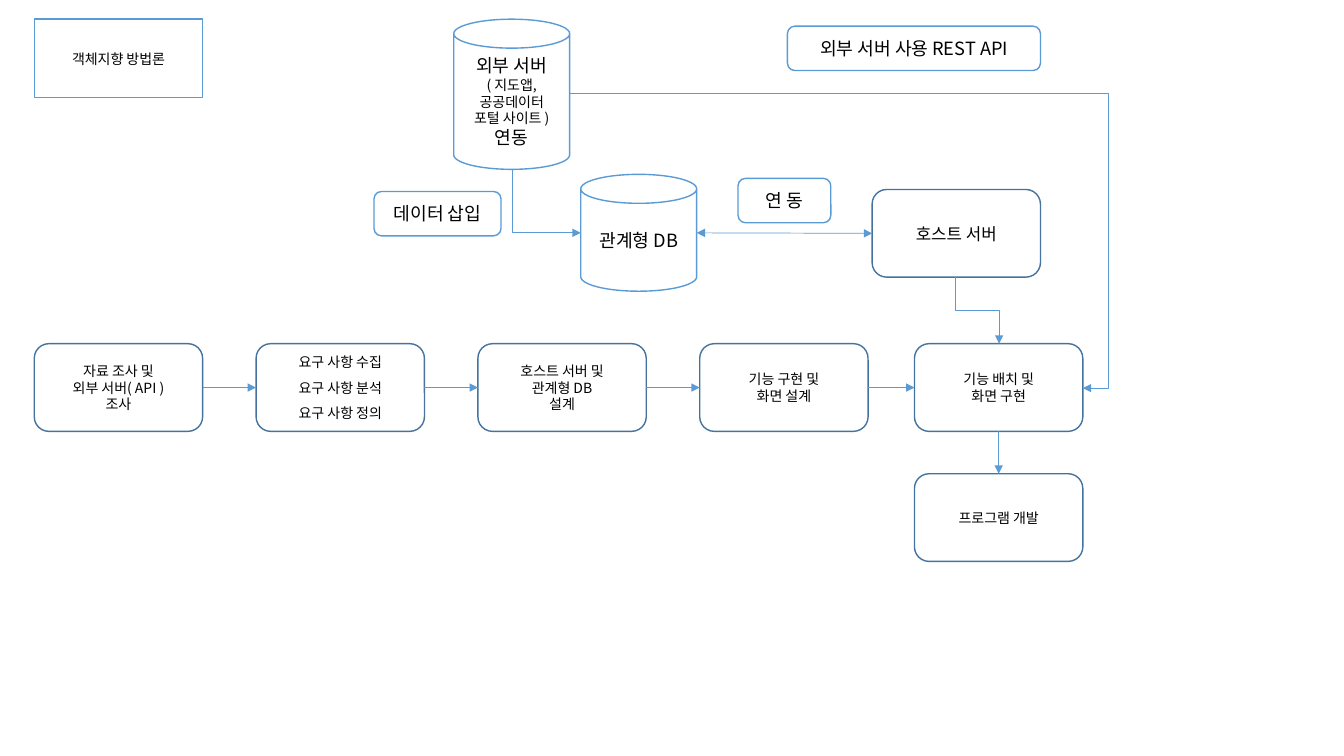
from dataclasses import dataclass
from typing import Any

import lxml.etree
import pptx
import pptx.dml.color
import pptx.enum.shapes
import pptx.enum.text
import pptx.oxml.ns
import pptx.shapes.autoshape
import pptx.shapes.connector
import pptx.util

PX = 9144  # EMU, 100 px to the inch
FONT = "Noto Sans CJK KR"
COLORS = {"step": "43739E", "accent": "5B9BD5", "white": "FFFFFF", "text": "000000"}
KIND = pptx.enum.shapes.MSO_SHAPE
LINK = pptx.enum.shapes.MSO_CONNECTOR
TOP, LEFT, BOTTOM, RIGHT = range(4)

STEP_W, STEP_H, STEP_Y = 167, 87, 341
LABEL_H = 44
CAN_W = 115


@dataclass(frozen=True)
class Para:
    text: str
    size: int = 10


@dataclass(frozen=True)
class Box:
    x: int
    y: int
    w: int
    h: int
    paras: tuple[Para, ...]
    kind: Any = KIND.ROUNDED_RECTANGLE
    line: str = "accent"
    fill: str | None = None
    inset: int = 10
    gap: int = 0


@dataclass(frozen=True)
class Elbow:
    start: tuple[int, int]
    end: tuple[int, int]
    bend: int | None = None  # thousandths of a percent; None for one corner
    vertical: bool = False


def step(x: int, y: int, *paras: Para, gap: int = 0) -> Box:
    return Box(x, y, STEP_W, STEP_H, paras, line="step", inset=32, gap=gap)


def label(x: int, y: int, w: int, text: str) -> Box:
    return Box(x, y, w, LABEL_H, (Para(text, 13),), KIND.FLOWCHART_ALTERNATE_PROCESS)


def can(x: int, y: int, h: int, *paras: Para) -> Box:
    return Box(x, y, CAN_W, h, paras, KIND.CAN, fill="white")


TITLE = Box(34, 19, STEP_W, 78, (Para("객체지향 방법론"),), fill="white")
STEPS = (
    step(34, STEP_Y, Para("자료 조사 및"), Para("외부 서버( API ) 조사")),
    step(254, STEP_Y, Para("요구 사항 수집"), Para("요구 사항 분석"),
         Para("요구 사항 정의"), gap=6),
    step(474, STEP_Y, Para("호스트 서버 및"), Para("관계형 DB"), Para("설계")),
    step(694, STEP_Y, Para("기능 구현 및"), Para("화면 설계")),
    step(907, STEP_Y, Para("기능 배치 및 화면 구현")),
)
PROGRAM = step(907, 470, Para("프로그램 개발"))
HOST = step(865, 188, Para("호스트 서버", 12))
OTHERS = (
    can(576, 173, 116, Para("관계형 DB", 13)),
    can(450, 19, 149, Para("외부 서버", 13), Para("( 지도앱,"), Para("공공데이터"),
        Para("포털 사이트 )"), Para("연동", 13)),
    label(371, 190, 126, "데이터 삽입"),
    label(781, 26, 251, "외부 서버 사용 REST API"),
    label(732, 177, 92, "연 동"),
)
ELBOWS = (
    Elbow((948, 275), (991, 341), bend=50000, vertical=True),
    Elbow((508, 168), (576, 231), vertical=True),
    Elbow((565, 93), (1074, 385), bend=104900),
)


def rgb(name: str) -> pptx.dml.color.RGBColor:
    return pptx.dml.color.RGBColor.from_string(COLORS[name])


def set_attrs(obj: Any, values: dict[str, Any]) -> None:
    for name, value in values.items():
        setattr(obj, name, value)


def sub(parent: Any, tag: str, **attrs: str) -> Any:
    return lxml.etree.SubElement(parent, pptx.oxml.ns.qn(tag), attrs)


def format_box(sp: Any, box: Box) -> None:
    """Give a shape or placeholder the box's fill, line and text."""
    if box.fill:
        sp.fill.solid()
        sp.fill.fore_color.rgb = rgb(box.fill)
    else:
        sp.fill.background()
    sp.line.color.rgb = rgb(box.line)
    sp.line.width = pptx.util.Pt(1)
    tf = sp.text_frame
    set_attrs(tf, {
        "word_wrap": True,
        "auto_size": pptx.enum.text.MSO_AUTO_SIZE.NONE,
        "vertical_anchor": pptx.enum.text.MSO_ANCHOR.MIDDLE,
        "margin_left": box.inset * PX, "margin_right": box.inset * PX,
        "margin_top": 5 * PX, "margin_bottom": 5 * PX,
    })
    for i, para in enumerate(box.paras):
        p = tf.add_paragraph() if i else tf.paragraphs[0]
        set_attrs(p, {"alignment": pptx.enum.text.PP_ALIGN.CENTER,
                      "space_before": pptx.util.Pt(box.gap if i else 0)})
        r = p.add_run()
        r.text = para.text
        set_attrs(r.font, {"size": pptx.util.Pt(para.size), "name": FONT})
        r.font.color.rgb = rgb("text")
        sub(r.font._element, "a:ea", typeface=FONT)


def draw_title(s: Any) -> None:
    sp = s.shapes.title
    set_attrs(sp, {"left": TITLE.x * PX, "top": TITLE.y * PX,
                   "width": TITLE.w * PX, "height": TITLE.h * PX})
    geom = sub(sp._element.spPr, "a:prstGeom", prst="roundRect")
    sub(geom, "a:avLst")
    format_box(sp, TITLE)


def draw_box(s: Any, box: Box) -> pptx.shapes.autoshape.Shape:
    sp = s.shapes.add_shape(box.kind, *(v * PX for v in (box.x, box.y, box.w, box.h)))
    sp.shadow.inherit = False
    format_box(sp, box)
    return sp


def style_arrow(cx: pptx.shapes.connector.Connector, both: bool = False) -> None:
    cx.line.color.rgb = rgb("accent")
    cx.line.width = pptx.util.Pt(0.5)
    ln = cx.line._get_or_add_ln()
    if both:
        sub(ln, "a:headEnd", type="triangle")
    sub(ln, "a:tailEnd", type="triangle")
    sub(cx._element.spPr, "a:effectLst")


def join(s: Any, a: Any, b: Any, site_a: int = RIGHT, site_b: int = LEFT) -> None:
    cx = s.shapes.add_connector(LINK.STRAIGHT, 0, 0, 0, 0)
    cx.begin_connect(a, site_a)
    cx.end_connect(b, site_b)
    style_arrow(cx)


def draw_elbow(s: Any, elbow: Elbow) -> None:
    """Draw an elbow; a vertical one is a flipped frame turned by 270 degrees."""
    (x1, y1), (x2, y2) = elbow.start, elbow.end
    if elbow.vertical:
        mx, my, dx, dy = (x1 + x2) / 2, (y1 + y2) / 2, (y2 - y1) / 2, (x2 - x1) / 2
        x1, y1, x2, y2 = mx + dx, my - dy, mx - dx, my + dy
    cx = s.shapes.add_connector(LINK.ELBOW, *(int(v * PX) for v in (x1, y1, x2, y2)))
    spPr = cx._element.spPr
    if elbow.vertical:
        spPr.find(pptx.oxml.ns.qn("a:xfrm")).set("rot", str(270 * 60000))
    geom = spPr.find(pptx.oxml.ns.qn("a:prstGeom"))
    if elbow.bend is None:
        geom.set("prst", "bentConnector2")
    else:
        av = geom.find(pptx.oxml.ns.qn("a:avLst"))
        sub(av, "a:gd", name="adj1", fmla=f"val {elbow.bend}")
    style_arrow(cx)


def main() -> None:
    prs = pptx.Presentation()
    set_attrs(prs, {"slide_width": 1333 * PX, "slide_height": 750 * PX})
    s = prs.slides.add_slide(prs.slide_layouts[5])
    draw_title(s)
    steps = [draw_box(s, box) for box in STEPS]
    program, host = draw_box(s, PROGRAM), draw_box(s, HOST)
    for box in OTHERS:
        draw_box(s, box)
    for a, b in zip(steps, steps[1:]):
        join(s, a, b)
    join(s, steps[-1], program, BOTTOM, TOP)
    cx = s.shapes.add_connector(LINK.STRAIGHT, 0, 0, 691 * PX, 231 * PX)
    cx.begin_connect(host, LEFT)
    style_arrow(cx, both=True)
    for elbow in ELBOWS:
        draw_elbow(s, elbow)
    prs.save("out.pptx")


if __name__ == "__main__":
    main()
